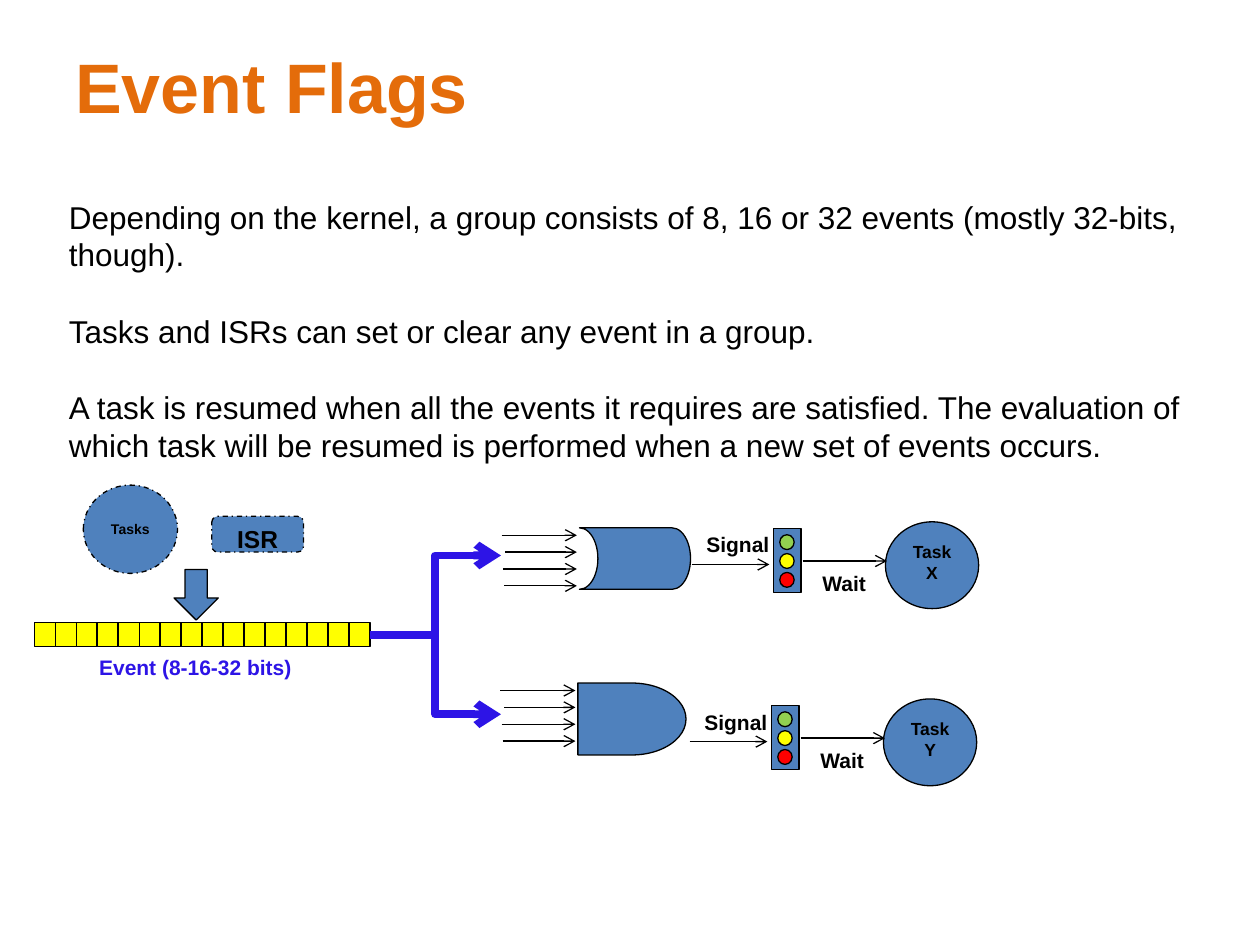
"""Build the Event Flags slide."""
import pptx
import pptx.dml.color
import pptx.enum.dml
import pptx.enum.shapes
import pptx.enum.text
import pptx.oxml
import pptx.oxml.ns
import pptx.util

Cm = pptx.util.Cm
Pt = pptx.util.Pt
RGBColor = pptx.dml.color.RGBColor
SHAPE = pptx.enum.shapes.MSO_SHAPE
CONNECTOR = pptx.enum.shapes.MSO_CONNECTOR
ALIGN = pptx.enum.text.PP_ALIGN
ANCHOR = pptx.enum.text.MSO_ANCHOR

BLACK = RGBColor(0x00, 0x00, 0x00)
BLUE = RGBColor(0x4F, 0x81, 0xBD)
INDIGO = RGBColor(0x2D, 0x14, 0xE6)
ORANGE = RGBColor(0xE4, 0x6C, 0x0A)
GREEN = RGBColor(0x92, 0xD0, 0x50)
YELLOW = RGBColor(0xFF, 0xFF, 0x00)
RED = RGBColor(0xFF, 0x00, 0x00)


def write(holder, *paragraphs, size=12, bold=True, color=BLACK, align=ALIGN.LEFT,
          anchor=ANCHOR.TOP, wrap=False, gap=0):
    """Fill a shape with formatted paragraphs."""
    frame = holder.text_frame
    frame.text = "\n".join(paragraphs)
    frame.word_wrap = wrap
    frame.vertical_anchor = anchor
    for paragraph in frame.paragraphs:
        paragraph.alignment = align
        paragraph.space_after = Pt(gap)
        for run in paragraph.runs:
            run.font.name = "Arial"
            run.font.size = Pt(size)
            run.font.bold = bold
            run.font.color.rgb = color


def label(shapes, left, top, width, height, *paragraphs, **text_format):
    """Add a text box."""
    box = shapes.add_textbox(Cm(left), Cm(top), Cm(width), Cm(height))
    write(box, *paragraphs, **text_format)


def block(shapes, kind, left, top, width, height, fill=BLUE, dashed=False):
    """Add a filled shape with a thin black outline."""
    shape = shapes.add_shape(kind, Cm(left), Cm(top), Cm(width), Cm(height))
    shape.shadow.inherit = False
    shape.fill.solid()
    shape.fill.fore_color.rgb = fill
    shape.line.color.rgb = BLACK
    shape.line.width = Pt(0.75)
    if dashed:
        shape.line.dash_style = pptx.enum.dml.MSO_LINE.DASH_DOT
    return shape


def arrow(shapes, start, end, kind=CONNECTOR.STRAIGHT, color=BLACK, width=0.75):
    """Add a connector with an open arrowhead at its end."""
    line = shapes.add_connector(kind, *map(Cm, start + end))
    line.line.color.rgb = color
    line.line.width = Pt(width)
    head = pptx.oxml.parse_xml(
        '<a:tailEnd %s type="arrow"/>' % pptx.oxml.ns.nsdecls("a"))
    line.line._get_or_add_ln().append(head)
    properties = line._element.spPr
    properties.append(pptx.oxml.parse_xml(
        "<a:effectLst %s/>" % pptx.oxml.ns.nsdecls("a")))


def event_sources(shapes, left, top):
    """Draw the tasks and ISR that set events."""
    tasks = block(shapes, SHAPE.OVAL, left, top, 1.9, 1.78, dashed=True)
    write(tasks, "Tasks", size=8, align=ALIGN.CENTER, anchor=ANCHOR.MIDDLE)
    isr = block(shapes, SHAPE.ROUNDED_RECTANGLE, left + 2.59, top + 0.63,
                1.85, 0.72, dashed=True)
    write(isr, "ISR", size=14, align=ALIGN.CENTER)
    block(shapes, SHAPE.DOWN_ARROW, left + 1.83, top + 1.7, 0.89, 1.02)


def event_register(shapes, left, top, width, bits=16):
    """Draw the row of event bits and its caption."""
    pitch = width / bits
    for bit in range(bits):
        block(shapes, SHAPE.RECTANGLE, left + bit * pitch, top, pitch, 0.48, YELLOW)
    label(shapes, left + 1.06, top + 0.53, 4.42, 0.76,
          "Event (8-16-32 bits)", color=INDIGO)


def gate(shapes, left, top, kind, width, height, rotation=0):
    """Draw a logic gate with four input arrows."""
    for row, indent in enumerate((0, 0.08, 0.03, 0.05)):
        y = top + 0.15 + row * 0.34
        arrow(shapes, (left + indent, y), (left + 1.52, y))
    block(shapes, kind, left + 1.57, top, width, height).rotation = rotation


def traffic_light(shapes, left, top):
    """Draw a grouped three-lamp light."""
    parts = shapes.add_group_shape().shapes
    block(parts, SHAPE.RECTANGLE, left, top, 0.56, 1.3)
    for row, lamp in enumerate((GREEN, YELLOW, RED)):
        block(parts, SHAPE.OVAL, left + 0.13, top + 0.13 + row * 0.38, 0.29, 0.3, lamp)


def task_lane(shapes, left, top, name):
    """Draw a signal, its light and the waiting task."""
    task = block(shapes, SHAPE.OVAL, left + 3.91, top, 1.88, 1.75)
    write(task, "Task\v" + name, size=10, align=ALIGN.CENTER)
    traffic_light(shapes, left + 1.65, top + 0.13)
    arrow(shapes, (left, top + 0.86), (left + 1.57, top + 0.86))
    arrow(shapes, (left + 2.24, top + 0.79), (left + 3.94, top + 0.79))
    label(shapes, left + 0.05, top + 0.08, 1.8, 0.76, "Signal")
    label(shapes, left + 2.39, top + 0.86, 1.4, 0.76, "Wait")


def event_flags_slide(deck):
    """Compose the whole slide."""
    shapes = deck.slides.add_slide(deck.slide_layouts[6]).shapes
    label(shapes, 1.27, 0.76, 19.43, 3.18, "Event Flags",
          size=40, color=ORANGE, wrap=True)
    label(shapes, 1.14, 3.86, 23.19, 5.64,
          "Depending on the kernel, a group consists of 8, 16 or 32 events "
          "(mostly 32-bits, though).",
          "Tasks and ISRs can set or clear any event in a group.",
          "A task is resumed when all the events it requires are satisfied. "
          "The evaluation of which task will be resumed is performed when a "
          "new set of events occurs.",
          size=18, bold=False, wrap=True, gap=22)
    event_sources(shapes, 1.68, 9.78)
    event_register(shapes, 0.69, 12.55, 6.77)
    for y in (14.4, 11.2):
        arrow(shapes, (7.45, 12.8), (10.1, y), CONNECTOR.ELBOW, INDIGO, 4.5)
    gate(shapes, 10.11, 10.64, SHAPE.FLOWCHART_STORED_DATA, 2.24, 1.24, 180)
    gate(shapes, 10.08, 13.77, SHAPE.FLOWCHART_DELAY, 2.18, 1.45)
    task_lane(shapes, 13.94, 10.52, "X")
    task_lane(shapes, 13.9, 14.09, "Y")


presentation = pptx.Presentation()
presentation.slide_width = Cm(25.4)
presentation.slide_height = Cm(19.05)
event_flags_slide(presentation)
presentation.save("out.pptx")
